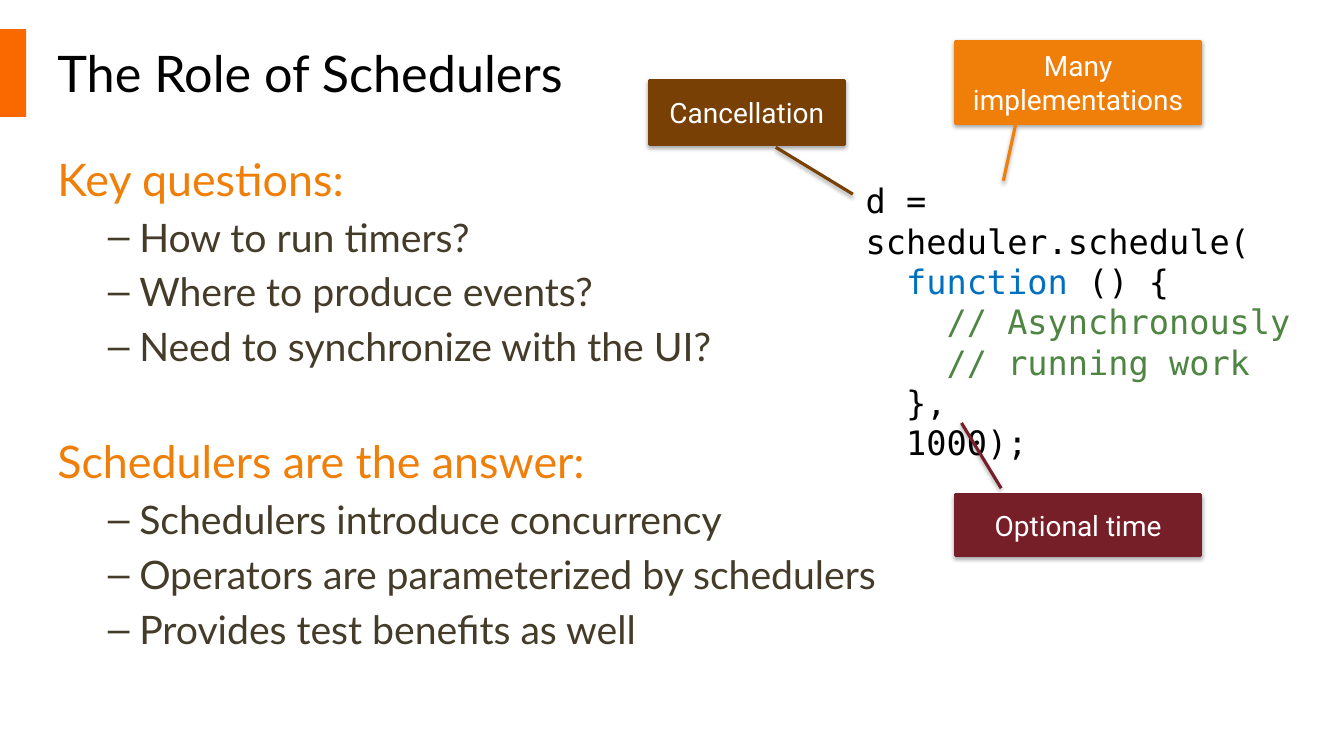
from dataclasses import dataclass

from lxml import etree
from pptx import Presentation
from pptx import util as u
from pptx.dml import color as dml
from pptx.enum import shapes, text
from pptx.oxml import ns

Pt = u.Pt


@dataclass(frozen=True)
class Theme:
    # Fonts
    main: str = "Lato"
    mono: str = "DejaVu Sans Mono"
    label: str = "Roboto"
    # Type sizes
    title: int = 36
    head: int = 32
    item: int = 28
    code: int = 24
    note: int = 20
    # Colours
    black: str = "000000"
    white: str = "FFFFFF"
    bar: str = "FA6800"
    orange: str = "F07F09"
    brown: str = "784004"
    red: str = "771F28"
    ink: str = "443C29"
    blue: str = "0070C0"
    green: str = "4E8542"


T = Theme()

TOPICS = [
    ("Key questions:", [
        "How to run timers?",
        "Where to produce events?",
        "Need to synchronize with the UI?",
    ]),
    ("Schedulers are the answer:", [
        "Schedulers introduce concurrency",
        "Operators are parameterized by schedulers",
        "Provides test benefits as well",
    ]),
]

# Each line of code is a list of (text, colour) runs
CODE = [
    [("d = scheduler.schedule(", T.black)],
    [("  ", T.black), ("function ", T.blue), ("() {", T.black)],
    [("    // Asynchronously", T.green)],
    [("    // running work", T.green)],
    [("  },", T.black)],
    [("  1000);", T.black)],
]

# Label, fill, box, and line ends as y1, x1, y2, x2 in parts of the box
NOTES = [
    ("Cancellation", T.brown, (463.7, 57.6, 139.7, 45.4),
     (1.049, 0.648, 1.786, 1.042)),
    ("Many implementations", T.orange, (682.6, 29.5, 175, 58.3),
     (1.019, 0.245, 1.708, 0.195)),
    ("Optional time", T.red, (682.6, 353.5, 175, 43.2),
     (-0.109, 0.186, -1.189, 0.024)),
]


def rgb(code):
    return dml.RGBColor.from_string(code)


def style(font, face, size, tint=None):
    font.name, font.size = face, Pt(size)
    if tint:
        font.color.rgb = rgb(tint)


def place(shape, left, top, width, height):
    shape.left, shape.top = Pt(left), Pt(top)
    shape.width, shape.height = Pt(width), Pt(height)


def paint(shape, fill):
    shape.shadow.inherit = False
    shape.fill.solid()
    shape.fill.fore_color.rgb = rgb(fill)


def next_par(frame, first):
    return frame.paragraphs[0] if first else frame.add_paragraph()


def add_bar(slide):
    bar = slide.shapes.add_shape(shapes.MSO_SHAPE.RECTANGLE,
                                 0, Pt(20.9), Pt(18.7), Pt(62.6))
    paint(bar, T.bar)
    bar.line.fill.background()


def fill_title(title, words):
    place(title, 33.8, 20.9, 859.7, 61.2)
    frame = title.text_frame
    frame.text = words
    frame.auto_size = text.MSO_AUTO_SIZE.NONE
    frame.vertical_anchor = text.MSO_ANCHOR.MIDDLE
    par = frame.paragraphs[0]
    par.alignment = text.PP_ALIGN.LEFT
    style(par.font, T.main, T.title, T.black)


def fill_body(body, topics):
    place(body, 33.8, 104.4, 859.7, 382.3)
    frame = body.text_frame
    frame.auto_size = text.MSO_AUTO_SIZE.NONE
    for n, (head, items) in enumerate(topics):
        par = next_par(frame, n == 0)
        par.text = head
        # Headings drop the bullet and indent of the first level
        props = par._p.get_or_add_pPr()
        props.set("marL", "0")
        props.set("indent", "0")
        etree.SubElement(props, ns.qn("a:buNone"))
        par.space_before = Pt(45.6 if n else 0)
        style(par.font, T.main, T.head, T.orange)
        for item in items:
            par = frame.add_paragraph()
            par.text, par.level = item, 1
            style(par.font, T.main, T.item, T.ink)


def add_code(slide, lines):
    box = slide.shapes.add_textbox(Pt(611.3), Pt(125.3), Pt(334.1), Pt(181.4))
    frame = box.text_frame
    frame.word_wrap = True
    for n, runs in enumerate(lines):
        par = next_par(frame, n == 0)
        style(par.font, T.mono, T.code)
        for words, tint in runs:
            run = par.add_run()
            run.text = words
            run.font.color.rgb = rgb(tint)


def add_shade(shape):
    """Give the shape a soft shadow straight below it."""
    list_el = shape._element.spPr.find(ns.qn("a:effectLst"))
    shade = etree.SubElement(
        list_el, ns.qn("a:outerShdw"), blurRad=str(Pt(3.1)),
        dist=str(Pt(1.8)), dir="5400000", rotWithShape="0")
    tint = etree.SubElement(shade, ns.qn("a:srgbClr"), val=T.black)
    etree.SubElement(tint, ns.qn("a:alpha"), val="35000")


def add_note(slide, words, fill, box, ends):
    note = slide.shapes.add_shape(shapes.MSO_SHAPE.LINE_CALLOUT_1,
                                  *map(Pt, box))
    for n, end in enumerate(ends):
        note.adjustments[n] = end
    paint(note, fill)
    add_shade(note)
    note.line.color.rgb = rgb(fill)
    note.line.width = Pt(2.25)
    frame = note.text_frame
    frame.text = words
    frame.word_wrap = True
    frame.vertical_anchor = text.MSO_ANCHOR.MIDDLE
    par = frame.paragraphs[0]
    par.alignment = text.PP_ALIGN.CENTER
    style(par.font, T.label, T.note, T.white)


def main():
    deck = Presentation()
    deck.slide_width, deck.slide_height = Pt(960), Pt(540)
    slide = deck.slides.add_slide(deck.slide_layouts[1])
    title, body = slide.placeholders
    # Heading and topics
    add_bar(slide)
    fill_title(title, "The Role of Schedulers")
    fill_body(body, TOPICS)
    # Code sample with its notes
    add_code(slide, CODE)
    for note in NOTES:
        add_note(slide, *note)
    deck.save("out.pptx")


if __name__ == "__main__":
    main()
